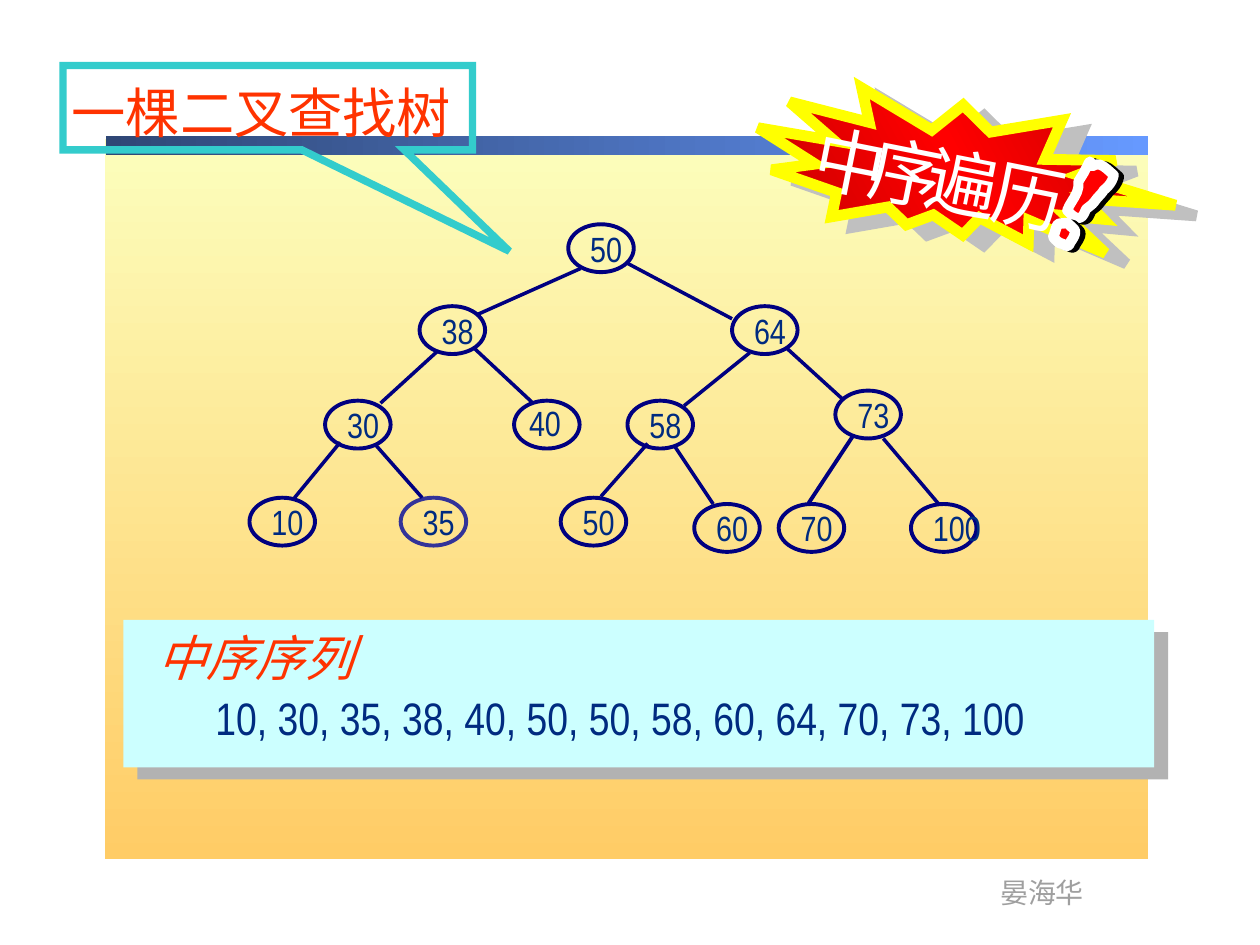
from dataclasses import dataclass
from typing import Any, NamedTuple

from lxml import etree
from pptx import Presentation
from pptx.dml.color import RGBColor
from pptx.enum.shapes import MSO_CONNECTOR, MSO_SHAPE
from pptx.enum.text import MSO_ANCHOR
from pptx.oxml.ns import qn
from pptx.util import Pt

PX = 9144
STRAIGHT = MSO_CONNECTOR.STRAIGHT
RECTANGLE = MSO_SHAPE.RECTANGLE
ELLIPSE = MSO_SHAPE.OVAL
CALLOUT = MSO_SHAPE.RECTANGULAR_CALLOUT
SEAL = MSO_SHAPE.EXPLOSION2
MIDDLE = MSO_ANCHOR.MIDDLE
TOP = MSO_ANCHOR.TOP

NAVY = RGBColor(0x00, 0x00, 0x80)
INDIGO = RGBColor(0x33, 0x33, 0x99)
INK = RGBColor(0x00, 0x2B, 0x80)
ORANGE = RGBColor(0xFF, 0x33, 0x00)
TEAL = RGBColor(0x33, 0xCC, 0xCC)
ICE = RGBColor(0xCC, 0xFF, 0xFF)
CREAM = RGBColor(0xFC, 0xFE, 0xBC)
AMBER = RGBColor(0xFF, 0xCC, 0x66)
DARK_BLUE = RGBColor(0x2F, 0x47, 0x76)
BLUE = RGBColor(0x66, 0x99, 0xFF)
DARK_RED = RGBColor(0xB6, 0x00, 0x00)
RED = RGBColor(0xFF, 0x00, 0x00)
YELLOW = RGBColor(0xFF, 0xFF, 0x00)
WHITE = RGBColor(0xFF, 0xFF, 0xFF)
BLACK = RGBColor(0x00, 0x00, 0x00)
GRAY = RGBColor(0x9F, 0x9F, 0x9F)
PANEL_SHADE = RGBColor(0xB2, 0xB2, 0xB2)
SEAL_SHADE = RGBColor(0xC0, 0xC0, 0xC0)
NARROW = "Arial Narrow"
SANS = "Noto Sans CJK SC"


class Box(NamedTuple):
    left: int
    top: int
    width: int
    height: int


class Edge(NamedTuple):
    start: tuple[int, int]
    end: tuple[int, int]
    weight: float = 2


@dataclass
class Node:
    label: str
    left: int
    top: int
    color: RGBColor = NAVY


@dataclass
class Shadow:
    color: RGBColor
    distance: float
    angle: int


@dataclass
class Label:
    text: str
    box: Box
    size: int
    color: RGBColor
    font: str = NARROW
    italic: bool = False
    shadow: Shadow | None = None
    rotation: float = 0


TEXT_SHADOW = Shadow(BLACK, 2, 45)
MARK_SHADOW = Shadow(BLACK, 3.2, 18)
NODES = [
    Node("50", 451, 178), Node("38", 333, 243), Node("64", 581, 243),
    Node("30", 258, 318), Node("", 408, 318), Node("58", 498, 318), Node("73", 663, 310),
    Node("10", 198, 395), Node("35", 318, 395, INDIGO), Node("50", 445, 395),
    Node("60", 551, 400), Node("70", 618, 400), Node("100", 723, 400),
]
EDGES = [
    Edge((461, 213), (378, 250)), Edge((498, 209), (581, 253)),
    Edge((347, 279), (302, 320)), Edge((377, 277), (422, 319)),
    Edge((595, 280), (543, 322)), Edge((624, 276), (669, 317)),
    Edge((270, 351), (233, 396)), Edge((298, 353), (335, 395)),
    Edge((514, 352), (477, 394)), Edge((536, 355), (566, 400)),
    Edge((677, 346), (642, 399), 2.25), Edge((701, 348), (745, 400)),
]
SEAL_LETTERS = [("中", 637, 89), ("序", 681, 97), ("遍", 726, 105), ("历", 779, 116)]
MARK_STROKE = [
    (867, 132), (873, 127), (879, 135), (884, 139), (883, 144), (880, 148), (876, 151),
    (875, 153), (872, 156), (872, 156), (870, 158), (869, 160), (867, 162),
    (866, 163), (862, 166), (862, 166), (861, 168), (860, 172), (857, 173),
    (853, 174), (849, 169), (847, 167), (850, 159), (857, 154), (856, 144),
    (866, 129), (864, 124), (867, 132),
]
MARK_DOT = [
    (847, 177), (838, 178), (840, 176), (837, 185), (837, 186), (836, 187), (836, 188),
    (837, 190), (841, 193), (841, 193), (843, 193), (845, 195), (847, 195),
    (848, 195), (849, 194), (849, 193), (851, 190), (854, 186), (853, 183),
    (853, 182), (847, 177), (847, 177),
]


def set_attributes(target: Any, values: dict[str, Any]) -> None:
    for name, value in values.items():
        setattr(target, name, value)


def add_shadow(effects: Any, shadow: Shadow) -> None:
    outer = etree.SubElement(effects, qn("a:outerShdw"), blurRad="0", algn="ctr",
                             dist=str(Pt(shadow.distance)), dir=str(shadow.angle * 60000),
                             rotWithShape="0")
    etree.SubElement(outer, qn("a:srgbClr"), val=str(shadow.color))


def style(shape: Any, fill: list[RGBColor], angle: int = 0, line: RGBColor | None = None,
          weight: float = 1, shadow: Shadow | None = None, sharp: bool = False) -> None:
    if len(fill) > 1:
        shape.fill.gradient()
        shape.fill.gradient_angle = (360 - angle) % 360
        stops = shape._element.spPr.find(".//" + qn("a:gsLst"))
        for stop in list(stops):
            stops.remove(stop)
        for index, color in enumerate(fill):
            stop = etree.SubElement(stops, qn("a:gs"), pos=str(100000 * index // (len(fill) - 1)))
            etree.SubElement(stop, qn("a:srgbClr"), val=str(color))
    elif fill:
        shape.fill.solid()
        shape.fill.fore_color.rgb = fill[0]
    else:
        shape.fill.background()
    if line is None:
        shape.line.fill.background()
    else:
        shape.line.color.rgb = line
        shape.line.width = Pt(weight)
        if sharp:
            etree.SubElement(shape.line._ln, qn("a:miter"), lim="800000")
    shape.shadow.inherit = False
    if shadow:
        add_shadow(shape._element.spPr.find(qn("a:effectLst")), shadow)


def add_box(slide: Any, kind: Any, box: Box, **look: Any) -> Any:
    shape = slide.shapes.add_shape(kind, *(value * PX for value in box))
    style(shape, **look)
    return shape


def write(shape: Any, label: Label, anchor: Any = TOP, wrap: bool = False) -> None:
    frame = shape.text_frame
    set_attributes(frame, {"word_wrap": wrap, "vertical_anchor": anchor})
    paragraph = frame.paragraphs[0]
    paragraph.alignment = 1
    run = paragraph.add_run()
    run.text = label.text
    set_attributes(run.font, {"size": Pt(label.size), "name": label.font, "italic": label.italic})
    run.font.color.rgb = label.color
    if label.shadow:
        effects = etree.Element(qn("a:effectLst"))
        run.font._element.find(qn("a:solidFill")).addnext(effects)
        add_shadow(effects, label.shadow)


def add_label(slide: Any, label: Label, wrap: bool = False) -> Any:
    shape = slide.shapes.add_textbox(*(value * PX for value in label.box))
    shape.rotation = label.rotation
    write(shape, label, wrap=wrap)
    return shape


def add_node(slide: Any, node: Node) -> None:
    box = Box(node.left, node.top, 52, 38)
    shape = add_box(slide, ELLIPSE, box, fill=[], line=node.color, weight=2.25)
    if node.label:
        write(shape, Label(node.label, box, 20, INK), MIDDLE)


def add_edge(slide: Any, edge: Edge) -> None:
    connector = slide.shapes.add_connector(
        STRAIGHT, *(value * PX for value in edge.start + edge.end))
    connector.line.color.rgb = NAVY
    connector.line.width = Pt(edge.weight)
    etree.SubElement(connector._element.spPr, qn("a:effectLst"))


def add_curve(slide: Any, points: list[tuple[int, int]], weight: float, steps: int = 6) -> None:
    outline = []
    for first in range(0, len(points) - 1, 3):
        for step in range(1, steps + 1):
            t = step / steps
            weights = ((1 - t) ** 3, 3 * t * (1 - t) ** 2, 3 * t * t * (1 - t), t ** 3)
            outline.append(tuple(
                round(PX * sum(w * point[axis] for w, point in zip(weights, points[first:first + 4])))
                for axis in (0, 1)))
    builder = slide.shapes.build_freeform(points[0][0] * PX, points[0][1] * PX)
    builder.add_line_segments(outline, close=True)
    style(builder.convert_to_shape(), [RED], line=WHITE, weight=weight, shadow=MARK_SHADOW)


def main() -> None:
    presentation = Presentation()
    set_attributes(presentation, {"slide_width": 1000 * PX, "slide_height": 750 * PX})
    slide = presentation.slides.add_slide(presentation.slide_layouts[6])
    add_box(slide, RECTANGLE, Box(83, 110, 828, 572), fill=[CREAM, AMBER], angle=90)
    add_box(slide, RECTANGLE, Box(84, 108, 827, 15), fill=[DARK_BLUE, BLUE])
    add_label(slide, Label("晏海华", Box(784, 690, 87, 37), 16, GRAY))

    for node in NODES:
        add_node(slide, node)
    for edge in EDGES:
        add_edge(slide, edge)
    add_label(slide, Label("40", Box(410, 314, 48, 43), 20, INK))

    callout = add_box(slide, CALLOUT, Box(50, 52, 325, 67), fill=[], line=TEAL, weight=4.25, sharp=True)
    callout.adjustments[0], callout.adjustments[1] = 0.59, 1.7
    add_label(slide, Label("一棵二叉查找树", Box(47, 58, 324, 62), 31, ORANGE))

    add_box(slide, RECTANGLE, Box(98, 492, 818, 117), fill=[ICE], shadow=Shadow(PANEL_SHADE, 10.6, 41))
    sequence = add_label(slide, Label("10, 30, 35, 38, 40, 50, 50, 58, 60, 64, 70, 73, 100",
                                      Box(103, 551, 808, 45), 26, INK), wrap=True)
    sequence.text_frame.margin_left = 68 * PX
    sequence.text_frame.paragraphs[0].line_spacing = 0.8
    add_label(slide, Label("中序序列", Box(115, 493, 251, 57), 28, ORANGE, SANS, True, TEXT_SHADOW), wrap=True)

    seal = add_box(slide, SEAL, Box(598, 75, 335, 126), fill=[DARK_RED, RED, DARK_RED], angle=315,
                   line=YELLOW, weight=6.25, shadow=Shadow(SEAL_SHADE, 13.4, 27), sharp=True)
    seal.rotation = 16.7
    for letter, left, top in SEAL_LETTERS:
        add_label(slide, Label(letter, Box(left, top, 77, 78), 41, WHITE,
                               shadow=TEXT_SHADOW, rotation=11.4))
    add_curve(slide, MARK_STROKE, 5.75)
    add_curve(slide, MARK_DOT, 6)
    presentation.save("out.pptx")


if __name__ == "__main__":
    main()
